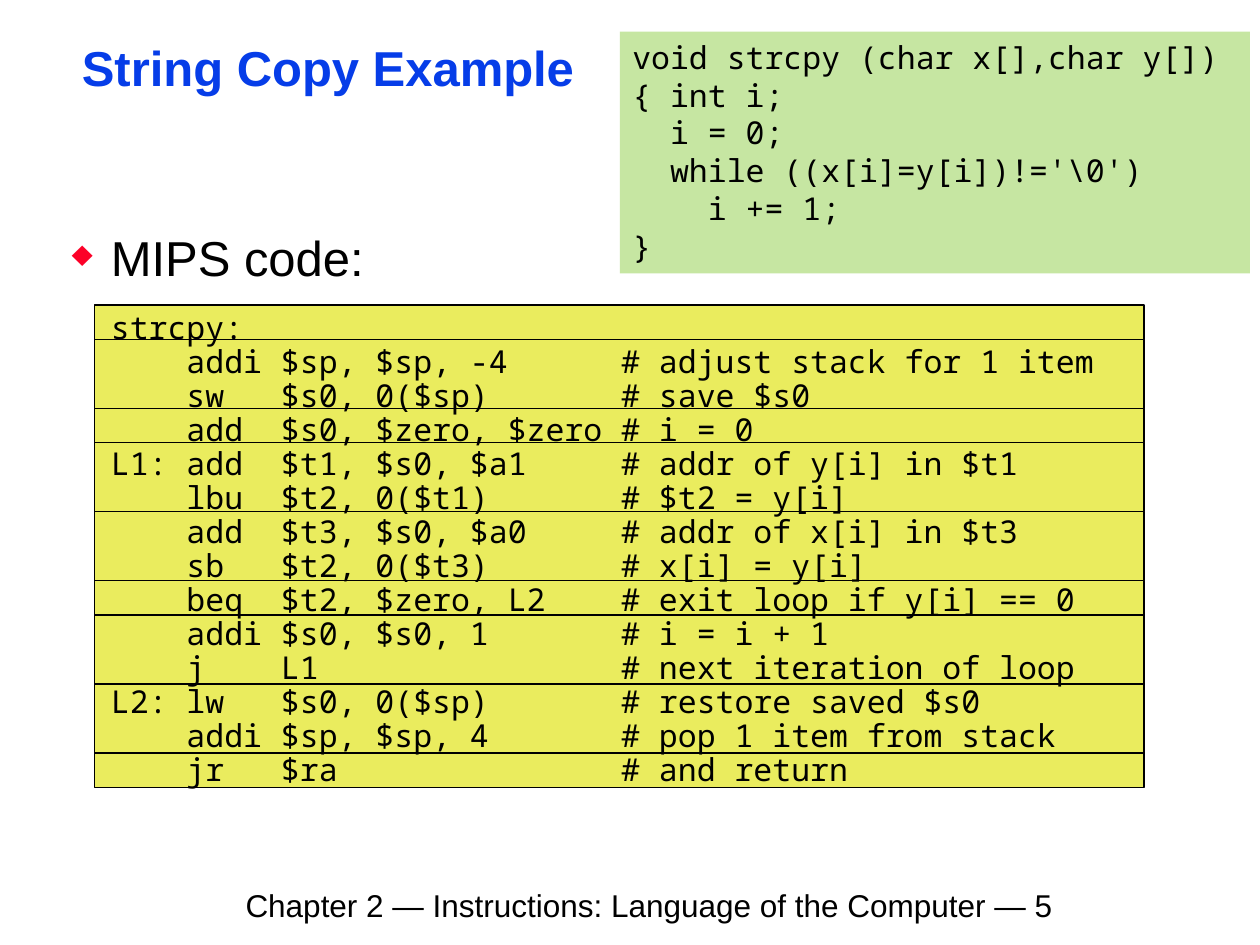
from lxml.etree import SubElement
from pptx import Presentation
from pptx.dml.color import RGBColor
from pptx.enum.shapes import MSO_SHAPE
from pptx.enum.text import MSO_ANCHOR, PP_ALIGN
from pptx.oxml.ns import qn
from pptx.util import Inches, Pt

SANS, MONO = "Arial", "Noto Sans Mono"
BLACK, BLUE, RED, YELLOW, GREEN = "000000", "063DE8", "FC0128", "EAEC5E", "C6E6A2"

TITLE = "String Copy Example"
HEADING = "MIPS code:"
FOOTER = "Chapter 2 — Instructions: Language of the Computer — 5"
C_CODE = [
    "void strcpy (char x[],char y[])",
    "{ int i;",
    "  i = 0;",
    "  while ((x[i]=y[i])!='\\0')",
    "    i += 1;",
    "}",
]
# Each inner list is one band of the listing.
MIPS_BANDS = [
    ["strcpy:"],
    ["    addi $sp, $sp, -4      # adjust stack for 1 item",
     "    sw   $s0, 0($sp)       # save $s0"],
    ["    add  $s0, $zero, $zero # i = 0"],
    ["L1: add  $t1, $s0, $a1     # addr of y[i] in $t1",
     "    lbu  $t2, 0($t1)       # $t2 = y[i]"],
    ["    add  $t3, $s0, $a0     # addr of x[i] in $t3",
     "    sb   $t2, 0($t3)       # x[i] = y[i]"],
    ["    beq  $t2, $zero, L2    # exit loop if y[i] == 0"],
    ["    addi $s0, $s0, 1       # i = i + 1",
     "    j    L1                # next iteration of loop"],
    ["L2: lw   $s0, 0($sp)       # restore saved $s0",
     "    addi $sp, $sp, 4       # pop 1 item from stack"],
    ["    jr   $ra               # and return"],
]
BANDS_LEFT, BANDS_TOP, BANDS_WIDTH, BANDS_HEIGHT = 0.75, 2.42, 8.33, 3.83


def color(value):
    return RGBColor.from_string(value)


def add_lines(para, lines, size, font, fill=BLACK, bold=False):
    """Add the lines to one paragraph, with line breaks between them."""
    para.alignment = PP_ALIGN.LEFT
    for number, line in enumerate(lines):
        if number:
            para.add_line_break()
        span = para.add_run()
        span.text = line
        span.font.size = Pt(size)
        span.font.name = font
        span.font.bold = bold
        span.font.color.rgb = color(fill)


def add_rectangle(page, left, top, width, height, fill, outline=None):
    box = page.shapes.add_shape(MSO_SHAPE.RECTANGLE, Inches(left), Inches(top),
                                Inches(width), Inches(height))
    box.shadow.inherit = False
    box.fill.solid()
    box.fill.fore_color.rgb = color(fill)
    if outline:
        box.line.color.rgb = color(outline)
        box.line.width = Pt(0.75)
    else:
        box.line.fill.background()
    return box


def add_frame(page, left, top, width, height, side=0.1, edge=0.05):
    """Add a wrapping text box and return its text frame."""
    box = page.shapes.add_textbox(Inches(left), Inches(top), Inches(width), Inches(height))
    frame = box.text_frame
    frame.word_wrap = True
    frame.margin_left = frame.margin_right = Inches(side)
    frame.margin_top = frame.margin_bottom = Inches(edge)
    return frame


def indent(para, left, first):
    properties = para._p.get_or_add_pPr()
    properties.set("marL", str(Inches(left)))
    properties.set("indent", str(Inches(first)))
    return properties


def add_bullet(para):
    properties = indent(para, 0.31, -0.31)
    bullet_color = SubElement(properties, qn("a:buClr"))
    SubElement(bullet_color, qn("a:srgbClr"), val=RED)
    SubElement(properties, qn("a:buSzPct"), val="75000")
    SubElement(properties, qn("a:buChar"), char="♦")


deck = Presentation()
deck.slide_width, deck.slide_height = Inches(10), Inches(7.5)
page = deck.slides.add_slide(deck.slide_layouts[6])

footer = add_frame(page, 1.85, 6.98, 7.95, 0.39)
add_lines(footer.paragraphs[0], [FOOTER], 18, SANS)

line_height = BANDS_HEIGHT / sum(len(band) for band in MIPS_BANDS)
top = BANDS_TOP
for band in MIPS_BANDS:
    height = line_height * len(band)
    add_rectangle(page, BANDS_LEFT, top, BANDS_WIDTH, height, YELLOW, BLACK)
    top += height

title = add_frame(page, 0.58, 0.33, 8.92, 0.46, 0.07, 0.03)
title.paragraphs[0].line_spacing = 0.87
add_lines(title.paragraphs[0], [TITLE], 28, SANS, BLUE, bold=True)

body = add_frame(page, 0.5, 1.83, 8.92, 4.49, 0.07, 0.03)
heading = body.paragraphs[0]
add_bullet(heading)
heading.line_spacing = 0.9
add_lines(heading, [HEADING], 28, SANS)
listing = body.add_paragraph()
indent(listing, 0.31, 0)
listing.line_spacing = 0.9
listing.space_before = Pt(14)
add_lines(listing, [line for band in MIPS_BANDS for line in band], 18, MONO)

c_box = add_rectangle(page, 4.92, 0.25, 5, 1.92, GREEN)
c_box.text_frame.word_wrap = True
c_box.text_frame.vertical_anchor = MSO_ANCHOR.TOP
add_lines(c_box.text_frame.paragraphs[0], C_CODE, 18, MONO)

deck.save("out.pptx")
